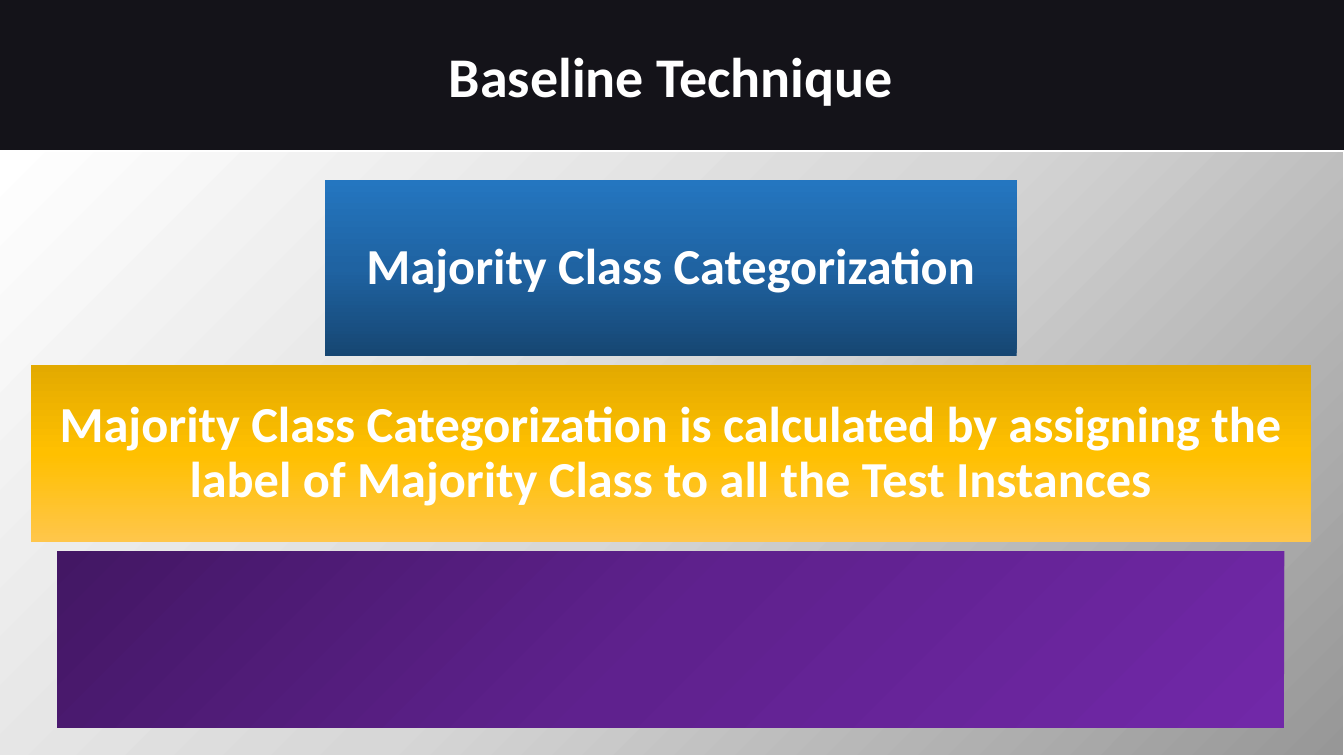
"""Build the Baseline Technique slide: a title band above three centred gradient bars."""
from dataclasses import dataclass

from lxml import etree
from pptx import Presentation
from pptx.dml.color import RGBColor
from pptx.enum import shapes, text
from pptx.oxml import parse_xml
from pptx.oxml.ns import nsdecls, qn
from pptx.util import Cm, Pt

TITLE = "Baseline Technique"
UPWARD = '<a:lin ang="16200000" scaled="0"/>'
FROM_BOTTOM_RIGHT = '<a:path path="circle"><a:fillToRect l="100000" t="100000"/></a:path>'
FROM_TOP_LEFT = '<a:path path="circle"><a:fillToRect r="100000" b="100000"/></a:path>'


@dataclass(frozen=True)
class Theme:
    font: str = "Calibri"
    title_size: int = 40
    bar_size: int = 36
    white: str = "FFFFFF"
    background: str = "524E67"
    band: str = "000000"
    panel: tuple = ("979797", "D7D7D7", "FFFFFF")
    blue: tuple = ("164672", "1F63A2", "2476C0")
    gold: tuple = ("FFC64B", "FFC000", "E3AA00")
    purple: tuple = ("431764", "5F218E", "7128A8")


THEME = Theme()
BARS = [
    ("Majority Class Categorization", 17.43, THEME.blue, UPWARD),
    ("Majority Class Categorization is calculated by assigning the "
     "label of Majority Class to all the Test Instances", 32.28, THEME.gold, UPWARD),
    ("", 30.91, THEME.purple, FROM_TOP_LEFT),
]
SLIDE_W, SLIDE_H = 33.87, 19.05
PANEL_LEFT, PANEL_TOP = -0.05, 3.81
BAR_CENTRE, BAR_TOP, BAR_H, BAR_PITCH = 16.91, 4.53, 4.45, 4.68


def add_rect(s, left, top, width, height):
    sp = s.shapes.add_shape(shapes.MSO_SHAPE.RECTANGLE,
                            Cm(left), Cm(top), Cm(width), Cm(height))
    sp.shadow.inherit = False
    sp.line.fill.background()
    return sp


def fill_gradient(sp, colors, direction):
    stops = "".join(f'<a:gs pos="{i * 50000}"><a:srgbClr val="{c}"/></a:gs>'
                    for i, c in enumerate(colors))
    gradient = parse_xml(f'<a:gradFill {nsdecls("a")} rotWithShape="1">'
                         f'<a:gsLst>{stops}</a:gsLst>{direction}</a:gradFill>')
    sp.fill.background()
    props = sp._element.spPr
    props.replace(props.find(qn("a:noFill")), gradient)


def write(sp, content, size):
    tf = sp.text_frame
    tf.text = content
    tf.word_wrap = True
    tf.vertical_anchor = text.MSO_ANCHOR.MIDDLE
    p = tf.paragraphs[0]
    p.alignment = text.PP_ALIGN.CENTER
    font = p.runs[0].font
    font.name, font.size, font.bold = THEME.font, Pt(size), True
    font.color.rgb = RGBColor.from_string(THEME.white)
    return tf


def add_backdrop(s):
    s.background.fill.solid()
    s.background.fill.fore_color.rgb = RGBColor.from_string(THEME.background)
    band = add_rect(s, 0, 0, SLIDE_W, SLIDE_H)
    band.fill.solid()
    band.fill.fore_color.rgb = RGBColor.from_string(THEME.band)
    color = band._element.spPr.find(f'{qn("a:solidFill")}/{qn("a:srgbClr")}')
    etree.SubElement(color, qn("a:alpha"), val="75000")
    panel = add_rect(s, PANEL_LEFT, PANEL_TOP, SLIDE_W - PANEL_LEFT, SLIDE_H - PANEL_TOP)
    fill_gradient(panel, THEME.panel, FROM_BOTTOM_RIGHT)
    panel.line.color.rgb = RGBColor.from_string(THEME.white)
    panel.line.width = Pt(1)


def add_bars(s):
    for row, (content, width, colors, direction) in enumerate(BARS):
        sp = add_rect(s, BAR_CENTRE - width / 2, BAR_TOP + row * BAR_PITCH, width, BAR_H)
        fill_gradient(sp, colors, direction)
        if content:
            tf = write(sp, content, THEME.bar_size)
            tf.margin_left = tf.margin_right = tf.margin_top = tf.margin_bottom = Cm(0.25)
            tf.paragraphs[0].line_spacing = 0.9


def add_title(s):
    title = s.shapes.title
    title.left, title.top = Cm(PANEL_LEFT), Cm(0.91)
    title.width, title.height = Cm(SLIDE_W - PANEL_LEFT), Cm(1.96)
    tf = write(title, TITLE, THEME.title_size)
    tf.auto_size = text.MSO_AUTO_SIZE.SHAPE_TO_FIT_TEXT
    s.shapes._spTree.append(title._element)


def main():
    prs = Presentation()
    prs.slide_width, prs.slide_height = Cm(SLIDE_W), Cm(SLIDE_H)
    s = prs.slides.add_slide(prs.slide_layouts[5])
    add_backdrop(s)
    add_bars(s)
    add_title(s)
    prs.save("out.pptx")


if __name__ == "__main__":
    main()
